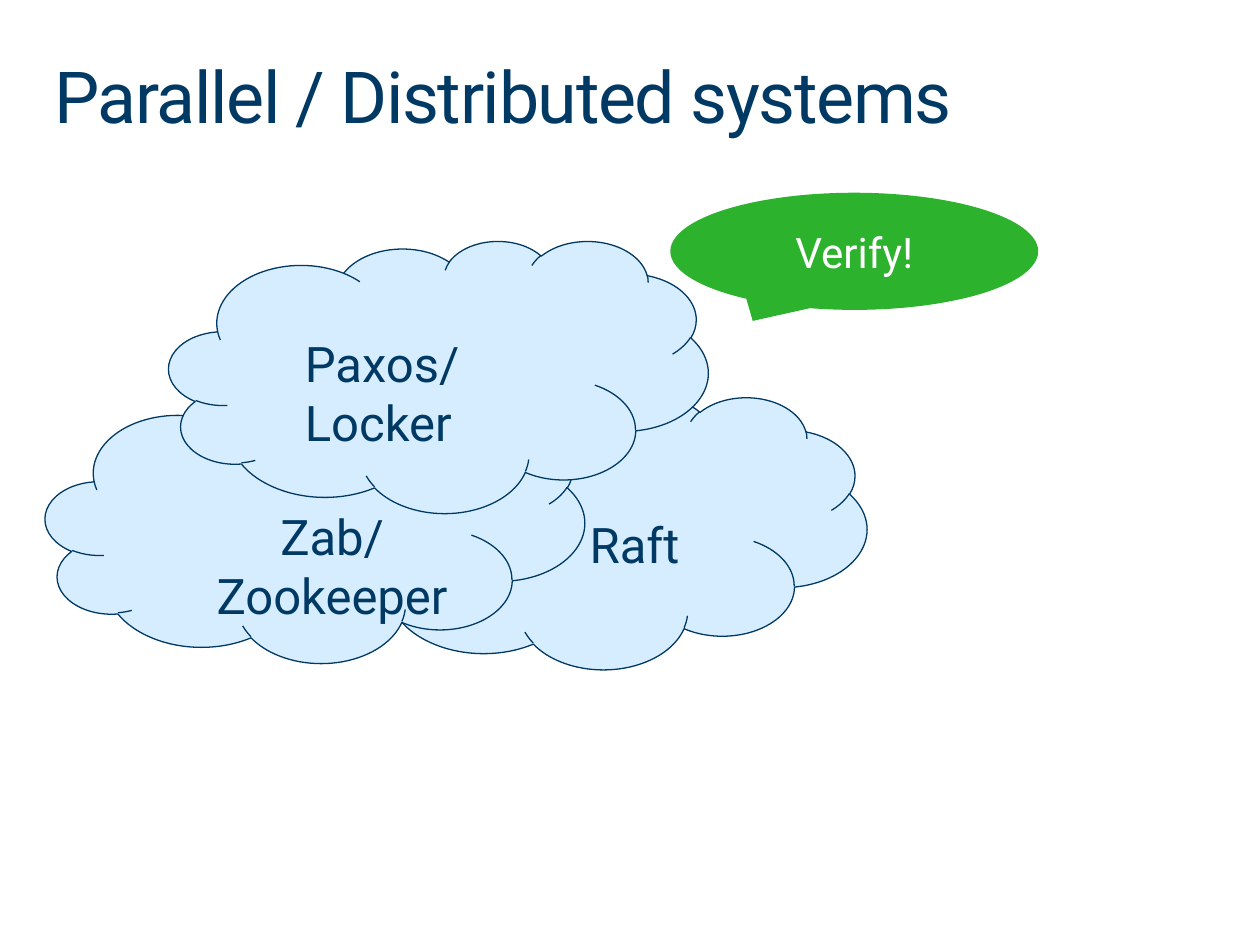
from dataclasses import dataclass

from pptx import Presentation
from pptx.dml.color import RGBColor
from pptx.enum.shapes import MSO_SHAPE
from pptx.enum.text import MSO_ANCHOR, PP_ALIGN
from pptx.util import Inches, Pt

CLOUD, CALLOUT = MSO_SHAPE.CLOUD, MSO_SHAPE.OVAL_CALLOUT
LEFT, CENTER = PP_ALIGN.LEFT, PP_ALIGN.CENTER
TOP, MIDDLE = MSO_ANCHOR.TOP, MSO_ANCHOR.MIDDLE


@dataclass(frozen=True)
class Theme:
    font: str = "Roboto"
    navy: str = "003963"
    sky: str = "D6EDFF"
    green: str = "2DB22D"
    white: str = "FFFFFF"
    title_size: float = 41
    label_size: float = 28
    callout_size: float = 24
    outline: float = 0.75


THEME = Theme()

# Content, with places in inches
TITLE = "Parallel / Distributed systems"
TITLE_BOX = (0.43, 0.49, 9.15, 0.63)
CLOUD_SIZE = (4.28, 2.16)
# Back to front: label, cloud corner, label box, alignment
PROTOCOLS = [
    ("Raft", (2.6, 3.15), (4.68, 4.08, 1.22, 0.47), LEFT),
    ("Zab/Zookeeper", (0.36, 3.1), (1.54, 4.02, 2.19, 0.94), CENTER),
    ("Paxos/\vLocker", (1.34, 1.91), (2.42, 2.65, 2.53, 0.94), LEFT),
]
DEMAND = "Verify!"
DEMAND_BOX = (5.32, 1.53, 2.92, 0.93)
DEMAND_TAIL = (-0.276, 0.594)


def inches(box):
    return [Inches(length) for length in box]


def write(shape, text, size, color, align=LEFT, anchor=TOP, inset=0.0):
    frame = shape.text_frame
    frame.word_wrap = True
    frame.vertical_anchor = anchor
    frame.margin_left = frame.margin_right = Inches(inset)
    frame.margin_top = frame.margin_bottom = Inches(inset)
    paragraph = frame.paragraphs[0]
    paragraph.text = text
    paragraph.alignment = align
    font = paragraph.font
    font.name, font.size = THEME.font, Pt(size)
    font.color.rgb = RGBColor.from_string(color)
    return paragraph


def add_filled(shapes, preset, box, fill):
    shape = shapes.add_shape(preset, *inches(box))
    shape.shadow.inherit = False
    shape.fill.solid()
    shape.fill.fore_color.rgb = RGBColor.from_string(fill)
    return shape


def main():
    prs = Presentation()
    prs.slide_width, prs.slide_height = Inches(10), Inches(7.5)
    shapes = prs.slides.add_slide(prs.slide_layouts[6]).shapes

    # Title, with slightly tightened letters
    heading = write(shapes.add_textbox(*inches(TITLE_BOX)), TITLE,
                    THEME.title_size, THEME.navy)
    heading.line_spacing = 0.9
    heading.runs[0]._r.get_or_add_rPr().set("spc", "-80")

    # Overlapping protocol clouds, each grouped with its label
    for label, corner, label_box, align in PROTOCOLS:
        members = shapes.add_group_shape().shapes
        cloud = add_filled(members, CLOUD, corner + CLOUD_SIZE, THEME.sky)
        cloud.line.color.rgb = RGBColor.from_string(THEME.navy)
        cloud.line.width = Pt(THEME.outline)
        write(members.add_textbox(*inches(label_box)), label,
              THEME.label_size, THEME.navy, align)

    # Speech bubble
    bubble = add_filled(shapes, CALLOUT, DEMAND_BOX, THEME.green)
    bubble.line.fill.background()
    for index, offset in enumerate(DEMAND_TAIL):
        bubble.adjustments[index] = offset
    write(bubble, DEMAND, THEME.callout_size, THEME.white, CENTER, MIDDLE, 0.05)

    prs.save("out.pptx")


if __name__ == "__main__":
    main()
